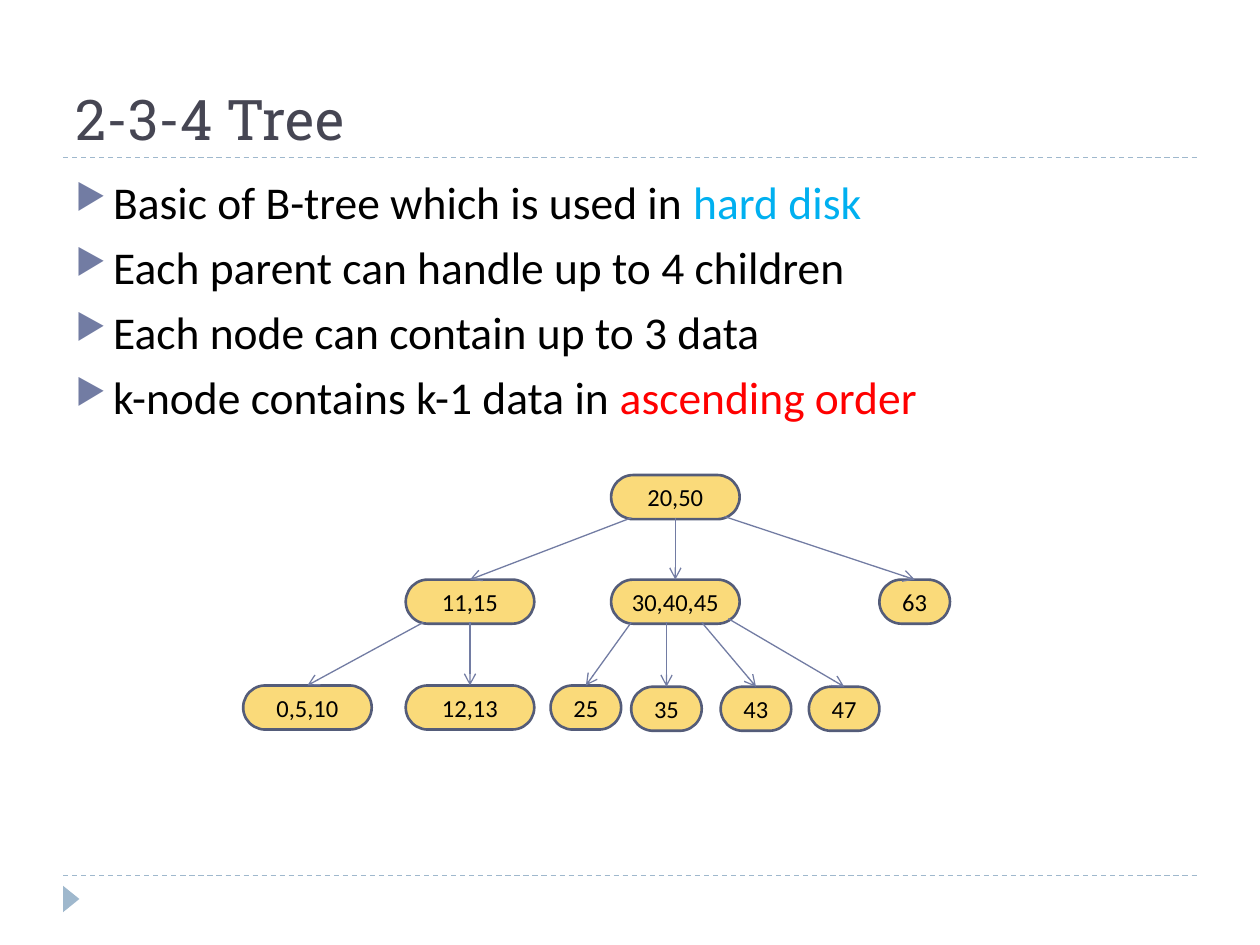
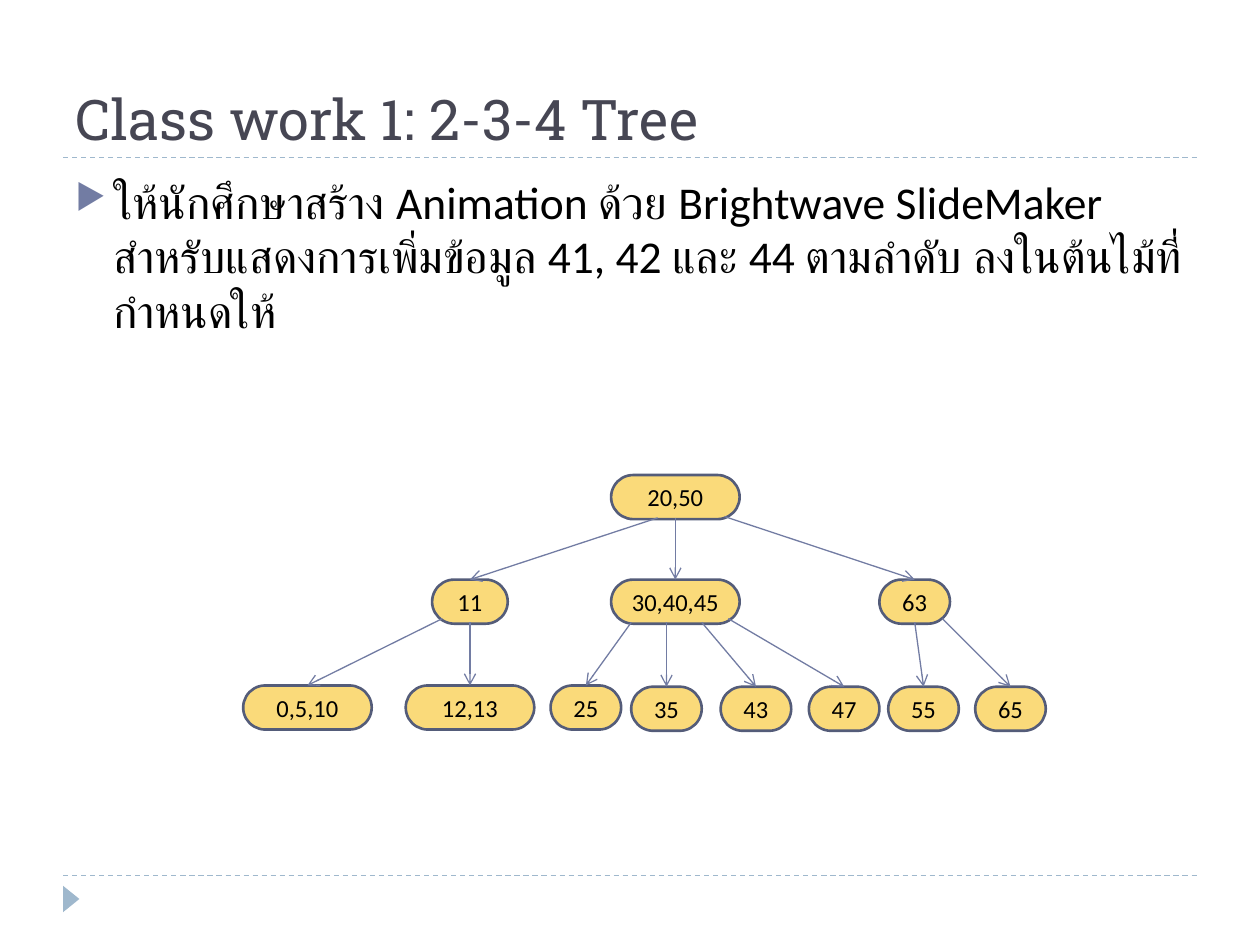
from lxml import etree
from pptx import Presentation
from pptx.dml.color import RGBColor
from pptx.enum.dml import MSO_LINE
from pptx.enum.shapes import MSO_CONNECTOR, MSO_SHAPE
from pptx.enum.text import MSO_ANCHOR, PP_ALIGN
from pptx.oxml.ns import qn
from pptx.util import Inches, Pt

# Colours and fonts
TITLE = RGBColor(0x46, 0x46, 0x53)
BLACK = RGBColor(0, 0, 0)
SKY = RGBColor(0x00, 0xB0, 0xF0)
RED = RGBColor(0xFF, 0, 0)
RULE = RGBColor(0x9F, 0xB8, 0xCD)
ARROW = RGBColor(0x72, 0x7C, 0xA3)
NODE_FILL = RGBColor(0xFA, 0xDA, 0x7A)
NODE_LINE = RGBColor(0x54, 0x5C, 0x79)
TITLE_FONT, BODY_FONT = "Roboto Slab", "Calibri"

# Tree measures: node widths, height and level tops
WIDE, MEDIUM, SMALL = 1.02, 0.6, 0.56
NODE_H = 0.35
ROOT_Y, MID_Y, LEAF_Y, LOW_LEAF_Y = 3.77, 4.6, 5.44, 5.45

# Nodes: label, centre x, top, width, start of the arrow from the parent
SHARED_NODES = [
    ("20,50", 5.36, ROOT_Y, WIDE, None),
    ("30,40,45", 5.36, MID_Y, WIDE, (5.36, 4.11)),
    ("63", 7.26, MID_Y, SMALL, (5.75, 4.1)),
    ("12,13", 3.73, LEAF_Y, WIDE, (3.73, 4.94)),
    ("25", 4.65, LEAF_Y, SMALL, (5.01, 4.94)),
    ("35", 5.29, LOW_LEAF_Y, SMALL, (5.29, 4.94)),
    ("43", 6, LOW_LEAF_Y, SMALL, (5.57, 4.94)),
    ("47", 6.7, LOW_LEAF_Y, SMALL, (5.78, 4.91)),
]
LESSON_NODES = [
    ("11,15", 3.73, MID_Y, WIDE, (5.01, 4.11)),
    ("0,5,10", 2.44, LEAF_Y, WIDE, (3.36, 4.94)),
]
CLASSWORK_NODES = [
    ("11", 3.73, MID_Y, MEDIUM, (5.22, 4.11)),
    ("0,5,10", 2.44, LEAF_Y, WIDE, (3.51, 4.91)),
    ("55", 7.33, LOW_LEAF_Y, SMALL, (7.26, 4.94)),
    ("65", 8.02, LOW_LEAF_Y, SMALL, (7.48, 4.91)),
]

# Bullets: each is a list of (text, colour) runs
LESSON_BULLETS = [
    [("Basic of B-tree which is used in ", BLACK), ("hard disk", SKY)],
    [("Each parent can handle up to 4 children", BLACK)],
    [("Each node can contain up to 3 data", BLACK)],
    [("k-node contains k-1 data in ", BLACK), ("ascending order", RED)],
]
CLASSWORK_BULLETS = [
    [("ให้นักศึกษาสร้าง Animation ด้วย Brightwave SlideMaker "
      "สำหรับแสดงการเพิ่มข้อมูล 41, 42 และ 44 ตามลำดับ "
      "ลงในต้นไม้ที่กำหนดให้", BLACK)],
]


def style_run(r, size, font, color):
    r.font.size = Pt(size)
    r.font.name = font
    r.font.color.rgb = color


def add_line(s, start, end, color):
    line = s.shapes.add_connector(MSO_CONNECTOR.STRAIGHT,
                                  *map(Inches, start + end))
    line.line.color.rgb = color
    line.line.width = Pt(0.75)
    etree.SubElement(line._element.spPr, qn("a:effectLst"))
    return line


def add_arrow(s, start, end):
    line = add_line(s, start, end, ARROW)
    etree.SubElement(line.line._get_or_add_ln(), qn("a:tailEnd"), type="arrow")


def add_text_frame(s, top, height):
    box = s.shapes.add_textbox(Inches(0.5), Inches(top),
                               Inches(9), Inches(height))
    box.text_frame.word_wrap = True
    return box.text_frame


def add_frame(s, title):
    # Dashed rules, corner triangle and title
    for y in (6.95, 1.25):
        add_line(s, (0.5, y), (9.5, y), RULE).line.dash_style = MSO_LINE.DASH
    sp = s.shapes.add_shape(MSO_SHAPE.ISOSCELES_TRIANGLE, Inches(0.46),
                            Inches(7.07), Inches(0.21), Inches(0.13))
    sp.rotation = 90
    sp.shadow.inherit = False
    sp.fill.solid()
    sp.fill.fore_color.rgb = RULE
    sp.line.fill.background()
    tf = add_text_frame(s, 0.17, 1.08)
    tf.vertical_anchor = MSO_ANCHOR.BOTTOM
    tf.text = title
    style_run(tf.paragraphs[0].runs[0], 32, TITLE_FONT, TITLE)


def set_bullet(p):
    pPr = p._p.get_or_add_pPr()
    pPr.set("marL", str(Inches(0.3)))
    pPr.set("indent", str(Inches(-0.3)))
    color = etree.SubElement(pPr, qn("a:buClr"))
    etree.SubElement(color, qn("a:srgbClr"), val=str(ARROW))
    etree.SubElement(pPr, qn("a:buSzPct"), val="76000")
    etree.SubElement(pPr, qn("a:buChar"), char="▶")


def add_bullets(s, bullets):
    tf = add_text_frame(s, 1.33, 5.4)
    for i, runs in enumerate(bullets):
        p = tf.add_paragraph() if i else tf.paragraphs[0]
        p.space_before = Pt(6)
        set_bullet(p)
        for text, color in runs:
            r = p.add_run()
            r.text = text
            style_run(r, 26, BODY_FONT, color)


def add_node(s, label, center, top, width):
    sp = s.shapes.add_shape(MSO_SHAPE.ROUNDED_RECTANGLE,
                            Inches(center - width / 2), Inches(top),
                            Inches(width), Inches(NODE_H))
    sp.adjustments[0] = 0.5
    sp.shadow.inherit = False
    sp.fill.solid()
    sp.fill.fore_color.rgb = NODE_FILL
    sp.line.color.rgb = NODE_LINE
    sp.line.width = Pt(1.5)
    tf = sp.text_frame
    tf.text = label
    tf.word_wrap = False
    tf.vertical_anchor = MSO_ANCHOR.MIDDLE
    p = tf.paragraphs[0]
    p.alignment = PP_ALIGN.CENTER
    style_run(p.runs[0], 14, BODY_FONT, BLACK)


def add_tree(s, nodes):
    for label, center, top, width, start in nodes:
        add_node(s, label, center, top, width)
    for label, center, top, width, start in nodes:
        if start:
            add_arrow(s, start, (center, top))


def main():
    prs = Presentation()
    prs.slide_width, prs.slide_height = Inches(10), Inches(7.5)
    for title, bullets, nodes in (
        ("2-3-4 Tree", LESSON_BULLETS, LESSON_NODES),
        ("Class work 1: 2-3-4 Tree", CLASSWORK_BULLETS, CLASSWORK_NODES),
    ):
        s = prs.slides.add_slide(prs.slide_layouts[6])
        add_frame(s, title)
        add_bullets(s, bullets)
        add_tree(s, SHARED_NODES + nodes)
    prs.save("out.pptx")


main()
